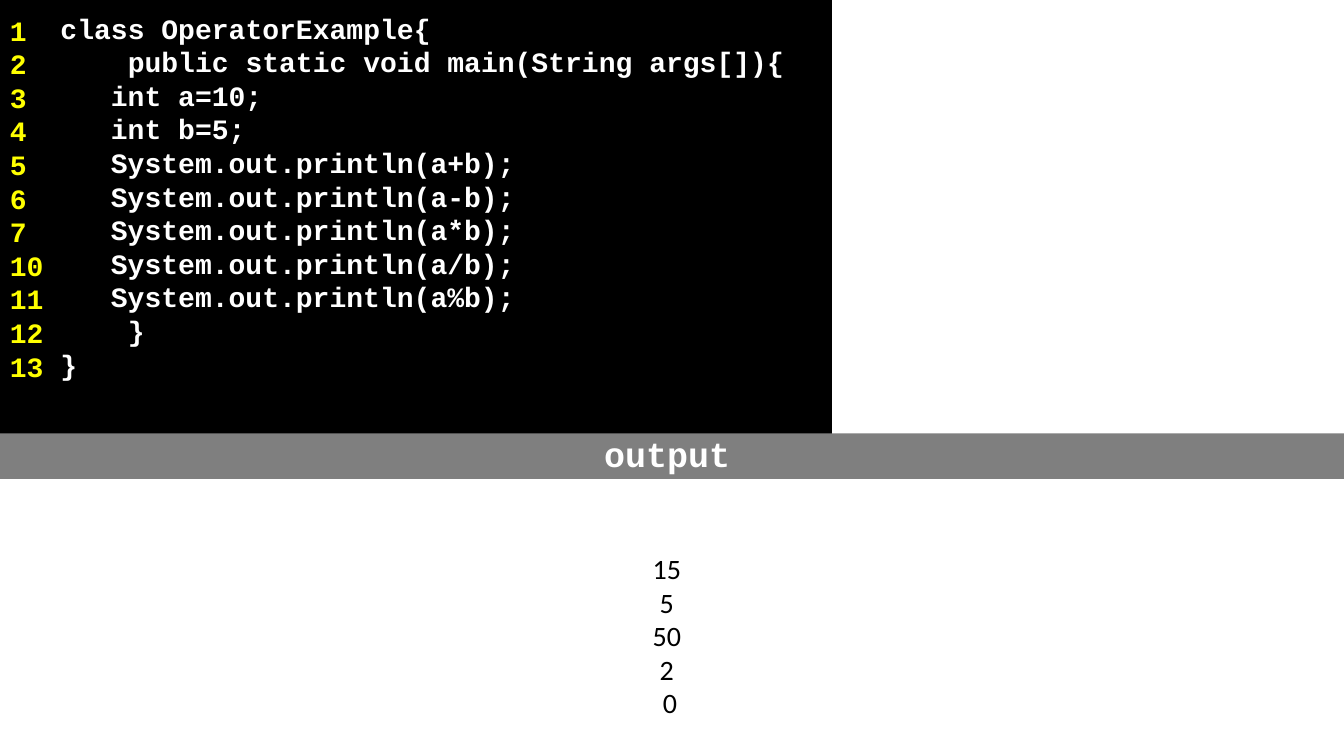
from dataclasses import dataclass

import pptx
import pptx.dml.color
import pptx.enum.shapes
import pptx.enum.text
import pptx.oxml.ns
import pptx.util
from lxml import etree

Inches = pptx.util.Inches
Pt = pptx.util.Pt
Align = pptx.enum.text.PP_ALIGN
Anchor = pptx.enum.text.MSO_ANCHOR


@dataclass(frozen=True)
class Theme:
    black: str = "000000"
    white: str = "FFFFFF"
    yellow: str = "FFFF00"
    gray: str = "7F7F7F"
    code_font: str = "Courier New"
    body_font: str = "Calibri"
    text_size: int = 20
    heading_size: int = 25
    line_pitch: int = 24
    gutter_opacity: int = 68


@dataclass(frozen=True)
class TextStyle:
    font: str
    size: int
    color: str
    bold: bool = True
    align: Align = Align.LEFT
    anchor: Anchor = Anchor.TOP


class CodeSlide:
    def __init__(self, presentation, theme):
        self.theme = theme
        self.slide = presentation.slides.add_slide(presentation.slide_layouts[6])

    def panel(self, box, color, opacity=100):
        """Add a borderless rectangle; box is left, top, width, height in inches."""
        shape = self.slide.shapes.add_shape(
            pptx.enum.shapes.MSO_SHAPE.RECTANGLE, *map(Inches, box))
        shape.shadow.inherit = False
        shape.line.fill.background()
        shape.fill.solid()
        shape.fill.fore_color.rgb = pptx.dml.color.RGBColor.from_string(color)
        if opacity < 100:
            qn = pptx.oxml.ns.qn
            color_element = shape.fill._xPr.find(".//" + qn("a:srgbClr"))
            etree.SubElement(color_element, qn("a:alpha"), val=str(opacity * 1000))
        return shape

    def lines(self, shape, texts, style, insets):
        """Write one paragraph per text; insets are left, top, right, bottom in inches."""
        frame = shape.text_frame
        frame.word_wrap = True
        frame.vertical_anchor = style.anchor
        (frame.margin_left, frame.margin_top,
         frame.margin_right, frame.margin_bottom) = map(Inches, insets)
        for index, text in enumerate(texts):
            paragraph = frame.paragraphs[0] if index == 0 else frame.add_paragraph()
            paragraph.alignment = style.align
            if style.size == self.theme.text_size:
                paragraph.line_spacing = Pt(self.theme.line_pitch)
            run = paragraph.add_run()
            run.text = text
            run.font.name = style.font
            run.font.size = Pt(style.size)
            run.font.bold = style.bold
            run.font.color.rgb = pptx.dml.color.RGBColor.from_string(style.color)


CODE = [
    "class OperatorExample{",
    "    public static void main(String args[]){",
    "\tint a=10;",
    "\tint b=5;",
    *(f"\tSystem.out.println(a{operator}b);" for operator in "+-*/%"),
    "    }",
    "}",
]
LINE_NUMBERS = [str(number) for number in (*range(1, 8), *range(10, 14))]
RESULTS = ["15 ", "5 ", "50 ", "2 ", "0"]


def main():
    presentation = pptx.Presentation()
    presentation.slide_width = Inches(13.33)
    presentation.slide_height = Inches(7.5)
    theme = Theme()
    page = CodeSlide(presentation, theme)

    code_panel = page.panel((0, 0, 8.25, 7.5), theme.black)
    page.lines(code_panel, CODE,
               TextStyle(theme.code_font, theme.text_size, theme.white),
               (0.6, 0.11, 0.1, 1))

    gutter = page.panel((0, 0.08, 0.58, 7.42), theme.black, theme.gutter_opacity)
    page.lines(gutter, LINE_NUMBERS,
               TextStyle(theme.code_font, theme.text_size, theme.yellow),
               (0.1, 0.05, 0.1, 1))

    output_panel = page.panel((-0.25, 4.75, 13.59, 2.75), theme.white)
    page.lines(output_panel, RESULTS,
               TextStyle(theme.body_font, theme.text_size, theme.black,
                         bold=False, align=Align.CENTER),
               (0.2, 0.72, 0, 0))

    output_bar = page.panel((0, 4.3, 13.33, 0.45), theme.gray)
    page.lines(output_bar, ["output"],
               TextStyle(theme.code_font, theme.heading_size, theme.white,
                         align=Align.CENTER, anchor=Anchor.MIDDLE),
               (0, 0.05, 0.1, 0.1))

    presentation.save("out.pptx")


if __name__ == "__main__":
    main()
